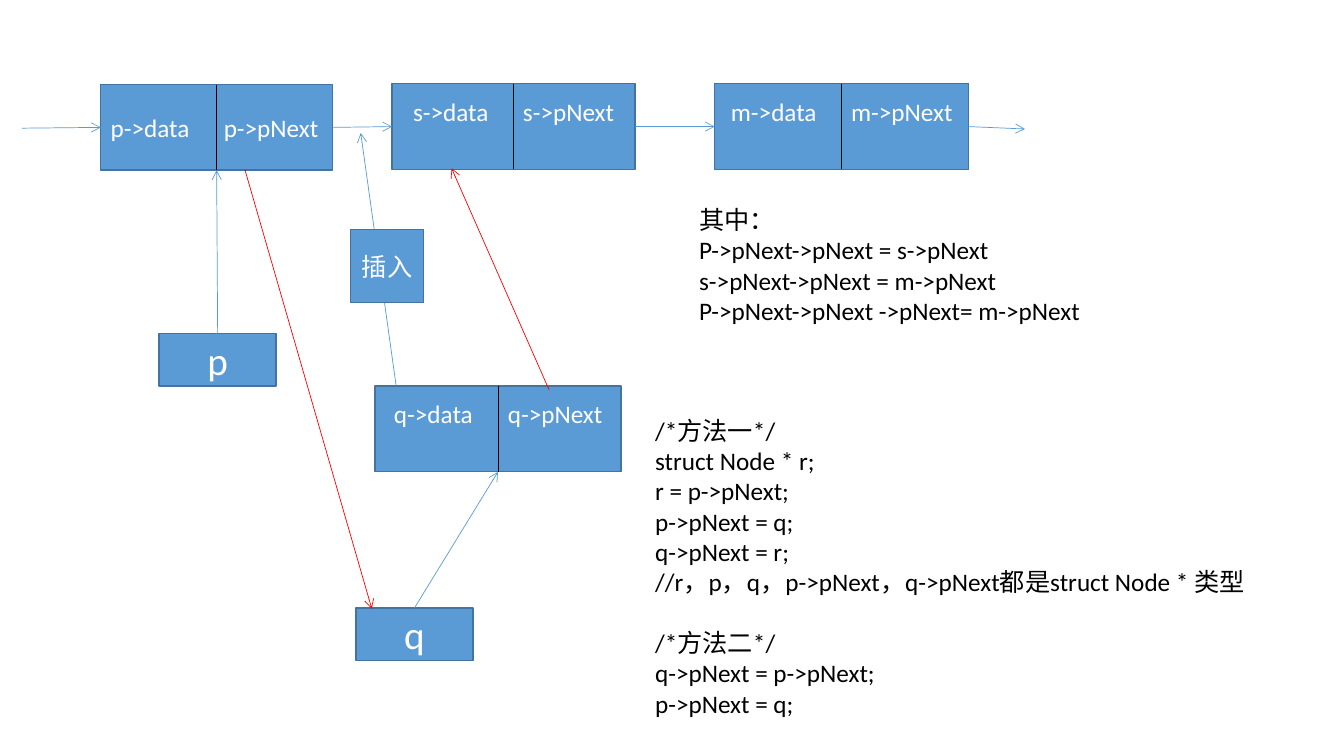
from pptx import Presentation
from pptx import util as u
from pptx.dml.color import RGBColor
from pptx.enum import shapes, text
from pptx.oxml.ns import qn
from lxml import etree

COLOURS = {"box": "5B9BD5", "border": "43739E", "white": "FFFFFF",
           "black": "000000", "red": "FF0000"}
TOP, LEFT, BOTTOM, RIGHT = range(4)

deck = Presentation()
deck.slide_width, deck.slide_height = u.Cm(33.87), u.Cm(19.05)
page = deck.slides.add_slide(deck.slide_layouts[6])


def add_box(bounds, lines, size=18, filled=True, align=text.PP_ALIGN.LEFT):
    """Add a blue rectangle, or a plain text box when not filled."""
    lengths = [u.Cm(value) for value in bounds]
    if filled:
        box = page.shapes.add_shape(shapes.MSO_SHAPE.RECTANGLE, *lengths)
        box.shadow.inherit = False
        box.fill.solid()
        box.fill.fore_color.rgb = RGBColor.from_string(COLOURS["box"])
        box.line.color.rgb = RGBColor.from_string(COLOURS["border"])
        box.line.width = u.Pt(1)
    else:
        box = page.shapes.add_textbox(*lengths)
    frame = box.text_frame
    frame.word_wrap = True
    frame.vertical_anchor = text.MSO_ANCHOR.MIDDLE if filled else text.MSO_ANCHOR.TOP
    frame.text = "\n".join(lines)
    for para in frame.paragraphs:
        para.alignment = align
        for span in para.runs:
            for name, value in {"size": u.Pt(size), "name": "Calibri"}.items():
                setattr(span.font, name, value)
            span.font.color.rgb = RGBColor.from_string(COLOURS["white" if filled else "black"])
    return box


def add_line(start, end, colour="box", arrow=True):
    """Draw a line; each end is a point in cm or a (shape, side) pair."""
    points = [(0, 0) if hasattr(place[0], "text_frame") else place for place in (start, end)]
    line = page.shapes.add_connector(
        shapes.MSO_CONNECTOR.STRAIGHT, *[u.Cm(value) for point in points for value in point])
    for place, join in ((start, line.begin_connect), (end, line.end_connect)):
        if hasattr(place[0], "text_frame"):
            join(*place)
    line.line.color.rgb = RGBColor.from_string(COLOURS[colour])
    line.line.width = u.Pt(0.5)
    if arrow:
        etree.SubElement(line.line._get_or_add_ln(), qn("a:tailEnd"), type="arrow")
    etree.SubElement(line._element.spPr, qn("a:effectLst"))


# List nodes: left, top, width, text inset, tab stop, space kept below the text
nodes = {}
for name, left, top, width, inset, tab, below in (
        ("p", 2.54, 2.13, 5.84, 0.25, 2.85, 0.13),
        ("m", 18.01, 2.11, 6.4, 0.41, 3.03, 0.89),
        ("s", 9.88, 2.11, 6.12, 0.53, 2.77, 0.89),
        ("q", 9.45, 9.73, 6.2, 0.48, 2.87, 0.89)):
    node = add_box((left, top, width, 2.16), [f"{name}->data\t{name}->pNext"])
    node.text_frame.margin_left = u.Cm(inset)
    node.text_frame.margin_right = 0
    node.text_frame.margin_bottom = u.Cm(below)
    stops = etree.SubElement(node.text_frame.paragraphs[0]._p.get_or_add_pPr(), qn("a:tabLst"))
    etree.SubElement(stops, qn("a:tab"), pos=str(u.Cm(tab)), algn="l")
    nodes[name] = node

# Pointer variables
pointers = {name: add_box((left, top, 2.95, 1.32), [name], 28, align=text.PP_ALIGN.CENTER)
            for name, left, top in (("p", 4.01, 8.41), ("q", 8.97, 15.32))}

# Links of the list and from the pointers
for start, end in (
        ((0.56, 3.23), (nodes["p"], LEFT)),
        ((nodes["p"], RIGHT), (nodes["s"], LEFT)),
        ((nodes["s"], RIGHT), (nodes["m"], LEFT)),
        ((nodes["m"], RIGHT), (25.83, 3.25)),
        ((pointers["p"], TOP), (nodes["p"], BOTTOM)),
        ((pointers["q"], TOP), (nodes["q"], BOTTOM)),
        ((9.98, 9.7), (9.09, 3.35))):
    add_line(start, end)

for node in nodes.values():
    add_line((node, TOP), (node, BOTTOM), "black", arrow=False)

add_box((8.84, 5.79, 1.83, 1.83), ["插入"], align=text.PP_ALIGN.CENTER)

# Explanations
add_box((17.37, 5.03, 16.23, 3.3), [
    "其中：",
    "P->pNext->pNext = s->pNext",
    "s->pNext->pNext = m->pNext",
    "P->pNext->pNext ->pNext= m->pNext",
], filled=False)
methods = add_box((16.26, 10.34, 16.31, 7.95), [
    "/*方法一*/",
    "struct Node * r;",
    "r = p->pNext;",
    "p->pNext = q;",
    "q->pNext = r;",
    "//r，p，q，p->pNext，q->pNext都是struct Node * 类型",
    "/*方法二*/",
    "q->pNext = p->pNext;",
    "p->pNext = q;",
], filled=False)
methods.text_frame.paragraphs[6].space_before = u.Pt(22)

# New links made by the insertion
add_line((6.17, 4.27), (9.37, 15.34), "red")
add_line((13.84, 9.83), (11.38, 4.24), "red")

deck.save("out.pptx")
